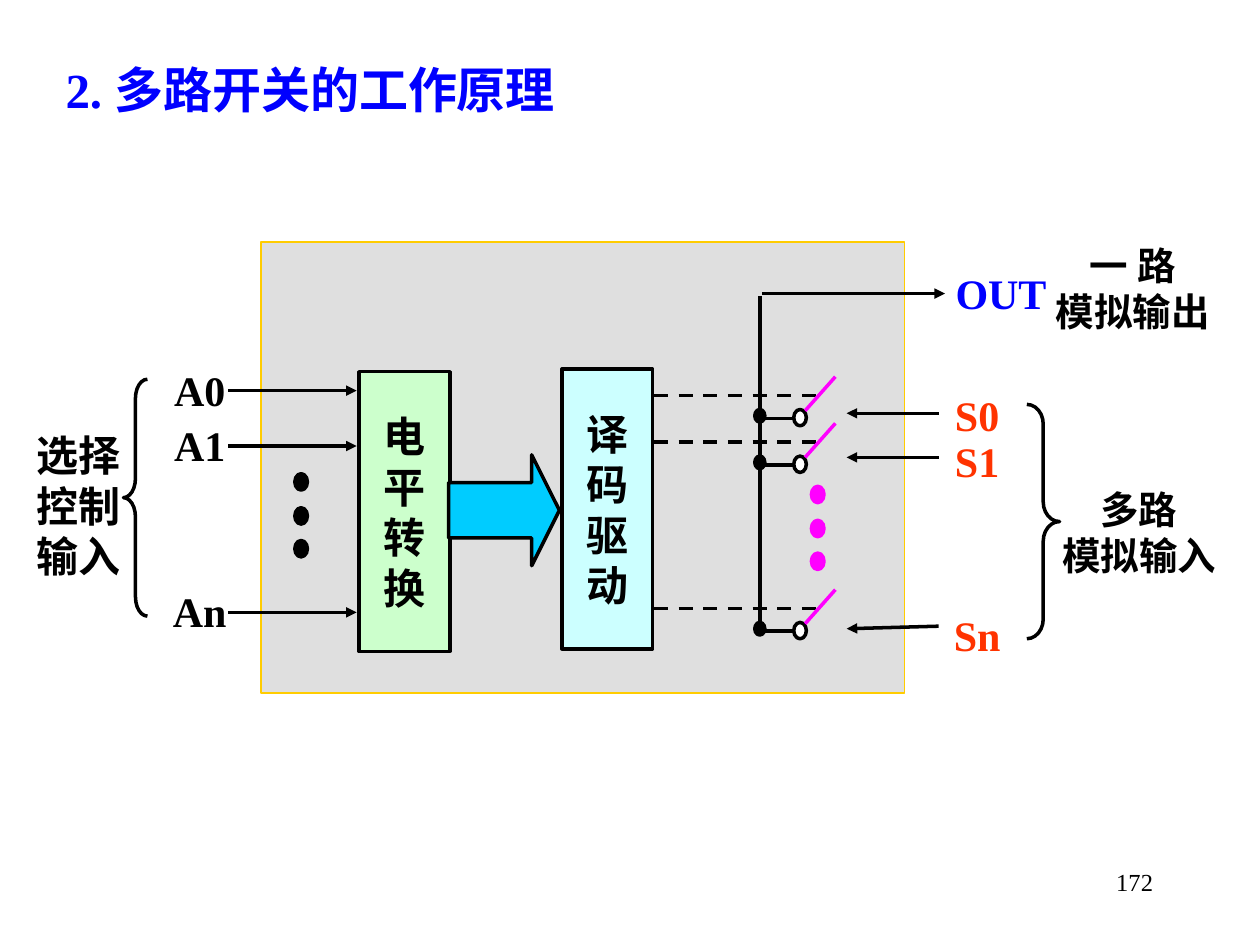
from lxml.etree import SubElement
from pptx import Presentation
from pptx.dml.color import RGBColor
from pptx.enum.dml import MSO_LINE_DASH_STYLE as Dash
from pptx.enum.shapes import MSO_CONNECTOR as Connector, MSO_SHAPE as Shape
from pptx.enum.text import MSO_ANCHOR as Anchor, MSO_AUTO_SIZE as AutoSize, PP_ALIGN as Align
from pptx.oxml.ns import qn
from pptx.util import Inches, Pt

COLORS = {
    "black": "000000", "white": "FFFFFF", "blue": "0000FF", "red": "FF3300",
    "magenta": "FF00FF", "gray": "C0C0C0", "gold": "FFCC00",
    "green": "CCFFCC", "sky": "00CCFF", "cyan": "CCFFFF",
}
FONT = "Times New Roman"


def rgb(name):
    """Return the named colour."""
    return RGBColor.from_string(COLORS[name])


def place(shape, box):
    """Set left, top, width and height in inches."""
    shape.left, shape.top, shape.width, shape.height = map(Inches, box)


def write(shape, text, size=24, color="black", bold=True, align=Align.CENTER,
          anchor=Anchor.MIDDLE, insets=(0, 0), wrap=True):
    """Fill a shape with formatted text, one paragraph per line."""
    frame = shape.text_frame
    frame.text = text
    frame.auto_size = AutoSize.NONE
    frame.word_wrap = wrap
    frame.vertical_anchor = anchor
    frame.margin_left = frame.margin_right = Inches(insets[0])
    frame.margin_top = frame.margin_bottom = Inches(insets[1])
    for paragraph in frame.paragraphs:
        paragraph.alignment = align
        for run in paragraph.runs:
            run.font.name = FONT
            run.font.size = Pt(size)
            run.font.bold = bold
            run.font.color.rgb = rgb(color)


def add_label(slide, box, text, **style):
    """Add a text box."""
    write(slide.shapes.add_textbox(*map(Inches, box)), text, **style)


def add_figure(slide, kind, box, fill=None, line="black", width=2, adjustments=()):
    """Add a preset shape with its fill and outline."""
    shape = slide.shapes.add_shape(kind, *map(Inches, box))
    shape.shadow.inherit = False
    for index, value in enumerate(adjustments):
        shape.adjustments[index] = value
    if fill:
        shape.fill.solid()
        shape.fill.fore_color.rgb = rgb(fill)
    else:
        shape.fill.background()
    shape.line.color.rgb = rgb(line)
    shape.line.width = Pt(width)
    return shape


def add_line(slide, start, end, color="black", dashed=False, arrow=False):
    """Add a straight line, with an optional arrowhead at its end."""
    connector = slide.shapes.add_connector(Connector.STRAIGHT, *map(Inches, start + end))
    connector.line.color.rgb = rgb(color)
    connector.line.width = Pt(2)
    if dashed:
        connector.line.dash_style = Dash.DASH
    if arrow:
        SubElement(connector.line._get_or_add_ln(), qn("a:tailEnd"), type="triangle")
    SubElement(connector._element.spPr, qn("a:effectLst"))


def add_background(slide):
    """Add the half-transparent chip outline."""
    panel = add_figure(slide, Shape.RECTANGLE, (2.07, 1.92, 5.11, 3.58), "gray", "gold", 1)
    color = panel._element.spPr.find(qn("a:solidFill"))[0]
    SubElement(color, qn("a:alpha"), val="50000")


def add_block(slide, left, top, text, fill):
    """Add a block whose text runs downwards."""
    block = add_figure(slide, Shape.RECTANGLE, (left, top, 0.72, 2.22), fill)
    write(block, "\n".join(text))


def add_ellipsis(slide, left, top, color):
    """Add three dots one above the other."""
    for offset in (0, 0.27, 0.53):
        add_figure(slide, Shape.OVAL, (left, top + offset, 0.1, 0.13), color, color)


def add_control(slide, text, y):
    """Add one control input with its arrow."""
    add_line(slide, (1.81, y), (2.83, y), arrow=True)
    add_label(slide, (1.36, y - 0.24, 0.45, 0.46), text)


def add_switch(slide, text, y, label_top, input_start, input_end):
    """Add one switch with its drive line and analog input."""
    add_line(slide, (5.19, y - 0.18), (6.48, y - 0.18), dashed=True)
    add_figure(slide, Shape.OVAL, (6.3, y - 0.07, 0.1, 0.13), "white")
    add_line(slide, (6.04, y), (6.3, y))
    add_line(slide, (6.39, y - 0.06), (6.63, y - 0.33), "magenta")
    add_line(slide, (7.45, input_start), (6.72, input_end), arrow=True)
    add_label(slide, (7.53, label_top, 0.45, 0.46), text, color="red")
    add_figure(slide, Shape.OVAL, (5.99, y - 0.07, 0.08, 0.1), "black")


def main():
    """Build the multiplexer slide."""
    presentation = Presentation()
    presentation.slide_width, presentation.slide_height = Inches(10), Inches(7.5)
    slide = presentation.slides.add_slide(presentation.slide_layouts[5])
    title = slide.shapes.title
    place(title, (0.42, 0.42, 4.58, 0.57))
    write(title, "2. 多路开关的工作原理", size=28, color="blue",
          align=Align.LEFT, insets=(0.1, 0.05), wrap=False)

    add_background(slide)
    add_block(slide, 2.85, 2.95, "电平转换", "green")
    add_figure(slide, Shape.RIGHT_ARROW, (3.56, 3.61, 0.88, 0.88), "sky",
               adjustments=(0.5, 0.25))
    add_block(slide, 4.46, 2.93, "译码驱动", "cyan")

    for text, y in (("A0", 3.1), ("A1", 3.54), ("An", 4.86)):
        add_control(slide, text, y)
    add_ellipsis(slide, 2.34, 3.76, "black")

    add_line(slide, (6.03, 4.95), (6.03, 2.35))
    for switch in (("S0", 3.32, 3.06, 3.28, 3.28),
                   ("S1", 3.69, 3.43, 3.63, 3.63),
                   ("Sn", 5.01, 4.81, 4.97, 4.99)):
        add_switch(slide, *switch)
    add_ellipsis(slide, 6.44, 3.86, "magenta")

    add_label(slide, (7.53, 2.09, 0.83, 0.46), "OUT", color="blue")
    add_line(slide, (6.05, 2.33), (7.5, 2.33), arrow=True)

    add_figure(slide, Shape.RIGHT_BRACE, (8.15, 3.21, 0.26, 1.86), adjustments=(0.6, 0.5))
    add_figure(slide, Shape.LEFT_BRACE, (0.98, 3.01, 0.19, 1.88), adjustments=(0.8, 0.5))
    for box, text, size in (((8.25, 3.86, 1.58, 0.97), "多路\n模拟输入", 22),
                            ((0.17, 3.41, 0.9, 1.13), "选择控制\n输入", 24),
                            ((8.25, 1.92, 1.48, 0.73), "一 路\n模拟输出", 22)):
        add_label(slide, box, text, size=size, anchor=Anchor.TOP)
    add_label(slide, (7.17, 6.83, 2.08, 0.5), "172", size=14, bold=False,
              align=Align.RIGHT, anchor=Anchor.TOP, insets=(0.1, 0.05))
    presentation.save("out.pptx")


if __name__ == "__main__":
    main()
